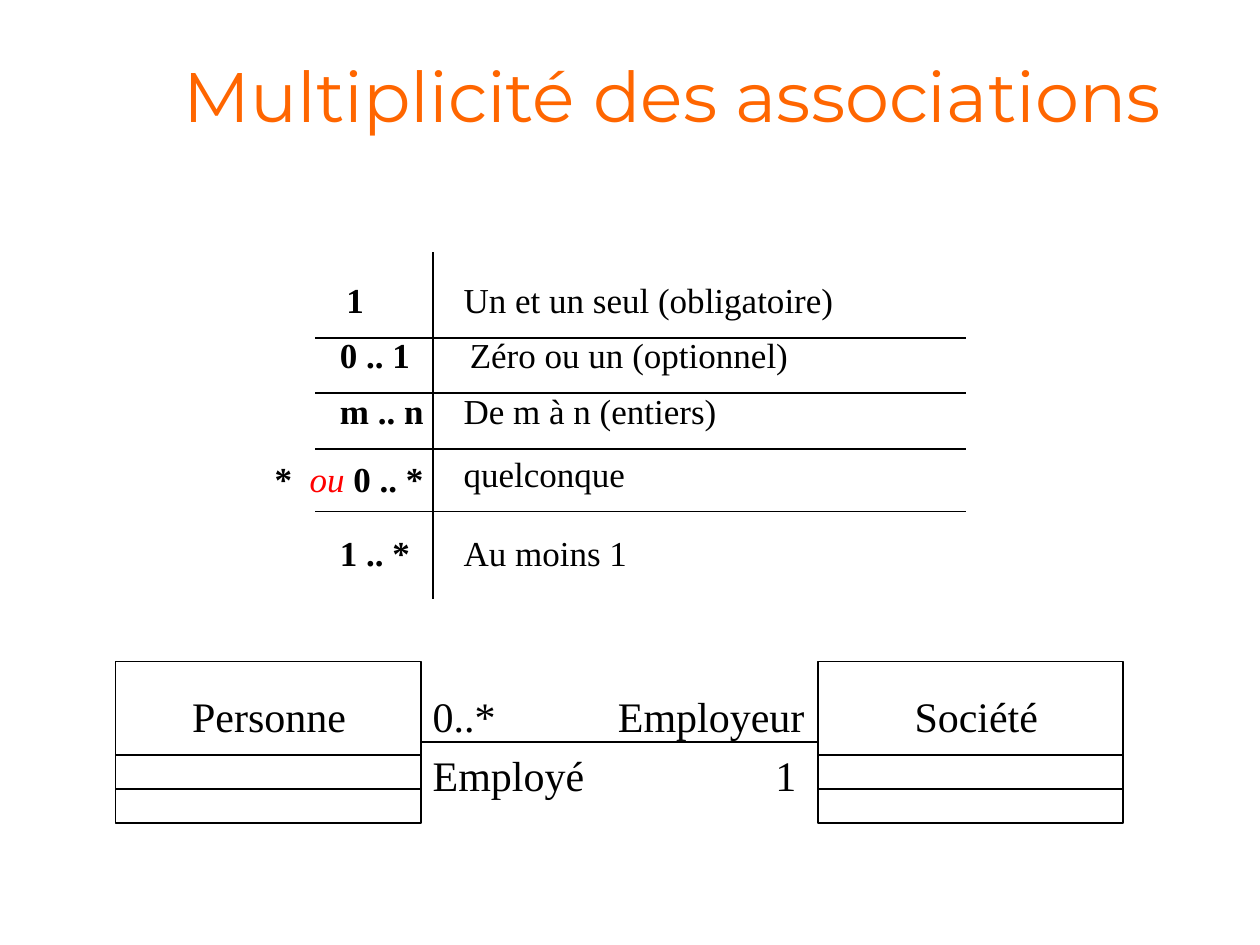
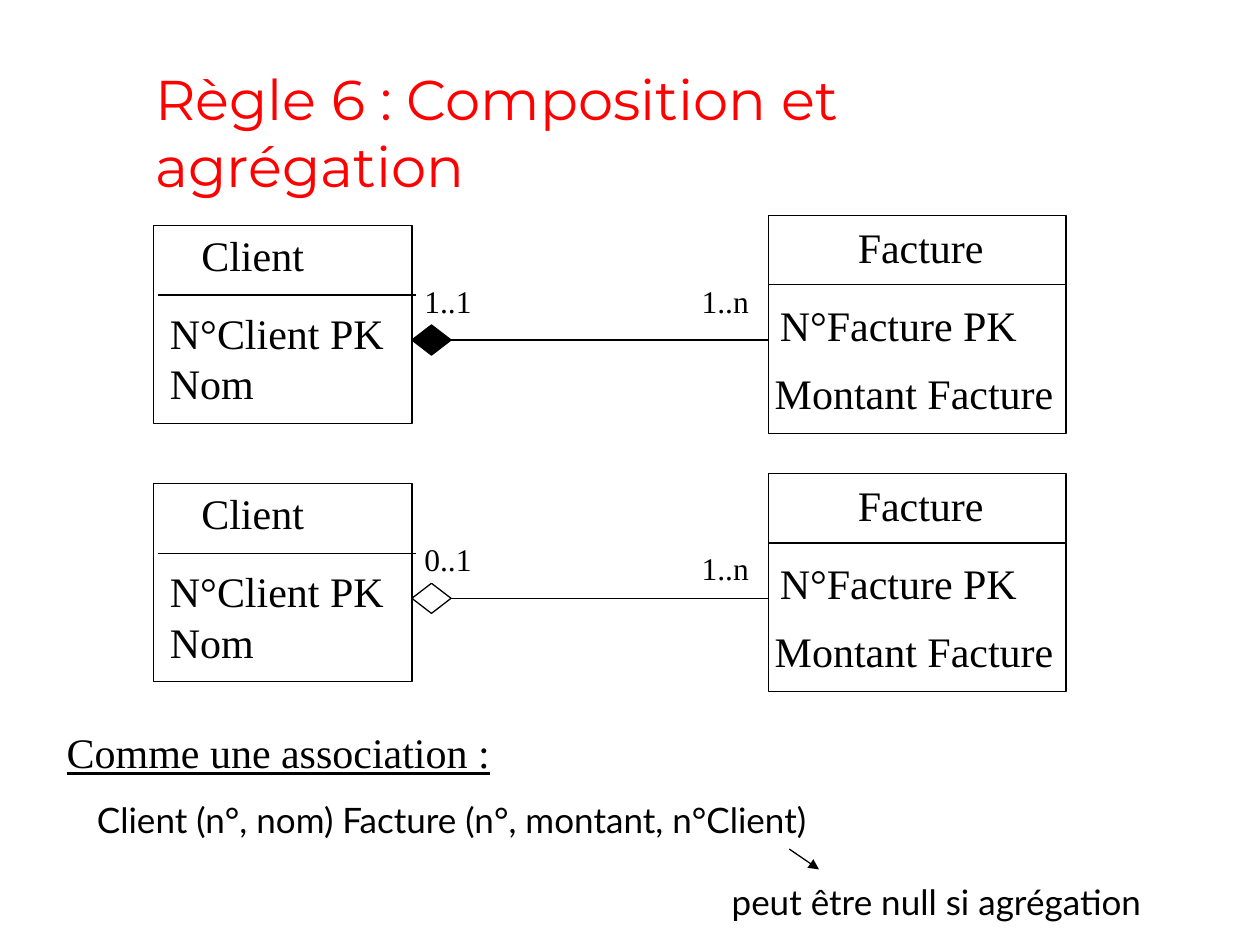
import dataclasses

import pptx
import pptx.dml.color
import pptx.enum.shapes
import pptx.enum.text
import pptx.oxml
import pptx.oxml.ns
import pptx.util

Pt = pptx.util.Pt
Shapes = pptx.enum.shapes.MSO_SHAPE
Anchor = pptx.enum.text.MSO_ANCHOR
Align = pptx.enum.text.PP_ALIGN


@dataclasses.dataclass(frozen=True)
class Theme:
    ink: str = "000000"
    paper: str = "FFFFFF"
    orange: str = "FF6600"
    red: str = "FF0000"
    title_font: str = "Montserrat"
    body_font: str = "Times New Roman"
    note_font: str = "Lato"
    title: int = 40
    long_title: int = 32
    name: int = 24
    row: int = 20
    multiplicity: int = 18
    thick: float = 1
    thin: float = 0.75


THEME = Theme()


# Shared helpers
def rgb(value):
    return pptx.dml.color.RGBColor.from_string(value)


def set_values(target, values):
    for key, value in values.items():
        setattr(target, key, value)


def add_span(para, text, size, color=THEME.ink, **values):
    span = para.add_run()
    span.text = text
    set_values(span.font, {"name": THEME.body_font, "size": Pt(size), **values})
    span.font.color.rgb = rgb(color)


def add_text(page, left, top, width, text, size=THEME.name, **values):
    """Add a one-line text box and return its paragraph."""
    box = page.shapes.add_textbox(Pt(left), Pt(top), Pt(width), Pt(size * 1.2 + 7.2))
    box.text_frame.word_wrap = True
    para = box.text_frame.paragraphs[0]
    if text:
        add_span(para, text, size, **values)
    return para


def add_line(page, start, end, weight=THEME.thick):
    line = page.shapes.add_connector(
        pptx.enum.shapes.MSO_CONNECTOR.STRAIGHT, *map(Pt, start + end))
    set_values(line.line, {"width": Pt(weight)})
    line.line.color.rgb = rgb(THEME.ink)
    line._element.spPr.append(pptx.oxml.parse_xml(
        "<a:effectLst %s/>" % pptx.oxml.ns.nsdecls("a")))
    return line


def add_outline(page, kind, box, weight, fill=None):
    shape = page.shapes.add_shape(kind, *map(Pt, box))
    shape.shadow.inherit = False
    if fill:
        shape.fill.solid()
        shape.fill.fore_color.rgb = rgb(fill)
    else:
        shape.fill.background()
    shape.line.width = Pt(weight)
    shape.line.color.rgb = rgb(THEME.ink)
    return shape


def add_page(deck, title, box, size, color, align, frame_values):
    page = deck.slides.add_slide(deck.slide_layouts[5])
    holder = page.shapes.title
    places = zip(("left", "top", "width", "height"), map(Pt, box))
    set_values(holder, dict(places))
    set_values(holder.text_frame, {
        "word_wrap": True, "auto_size": pptx.enum.text.MSO_AUTO_SIZE.NONE,
        **frame_values})
    para = holder.text_frame.paragraphs[0]
    para.alignment = align
    add_span(para, title, size, color, name=THEME.title_font)
    return page


def add_class(page, box, labels, dividers, weight, fill=None, shift=0):
    """Draw a class; labels are (dx, dy, width, text) within its box."""
    left, top, width, height = box
    frame = add_outline(page, Shapes.RECTANGLE, box, weight, fill)
    for dy in dividers:
        add_line(page, (left + shift, top + dy),
                 (left + shift + width, top + dy), weight)
    for dx, dy, label_width, text in labels:
        add_text(page, left + dx, top + dy, label_width, text)
    return frame


# Multiplicity page
def add_multiplicity_grid(page, left, top, width, height):
    for dy in (49, 80.7, 112.6, 148.3):
        add_line(page, (left, top + dy), (left + width, top + dy))
    add_line(page, (left + 67.5, top), (left + 67.5, top + height))

    rows = (
        (11.5, 10.8, "1", 77.8, "Un et un seul (obligatoire)"),
        (43.2, 7.2, "0 .. 1", 81.4, "Zéro ou un (optionnel)"),
        (74.9, 7.2, "m .. n", 77.8, "De m à n (entiers)"),
        (110.9, None, None, 77.8, "quelconque"),
        (156.2, 7.2, "1 .. *", 77.8, "Au moins 1"),
    )
    for dy, symbol_dx, symbol, meaning_dx, meaning in rows:
        if symbol:
            add_text(page, left + symbol_dx, top + dy, 66, symbol, THEME.row, bold=True)
        add_text(page, left + meaning_dx, top + dy, 230, meaning, THEME.row)

    # Row with two notations, aligned by a tab stop
    para = add_text(page, left - 30.2, top + 113.8, 145.4, "")
    para._p.get_or_add_pPr().append(pptx.oxml.parse_xml(
        '<a:tabLst %s><a:tab pos="%d" algn="l"/></a:tabLst>'
        % (pptx.oxml.ns.nsdecls("a"), Pt(20))))
    add_span(para, "*\t", THEME.row, bold=True)
    add_span(para, "ou", THEME.row, THEME.red, italic=True)
    add_span(para, " 0 .. *", THEME.row, bold=True)


def add_employment(page, left, top):
    size = (174.5, 92.2)
    employer_dx = 401.3
    person, company = (
        add_class(page, (left + dx, top, *size), [label], (53.3, 72.7),
                  THEME.thick, THEME.paper)
        for dx, label in ((0, (36.7, 13, 104, "Personne")),
                          (employer_dx, (48.2, 13, 87, "Société"))))
    link = add_line(page, (left + size[0], top + 46), (left + employer_dx, top + 46))
    link.begin_connect(person, 3)
    link.end_connect(company, 1)
    for dx, dy, width, text in ((174.2, 13, 52, "0..*"), (280, 13, 123, "Employeur"),
                                (174.2, 46.8, 103, "Employé"), (370, 46.8, 28, "1")):
        add_text(page, left + dx, top + dy, width, text)


def add_multiplicity_page(deck):
    page = add_page(deck, "Multiplicité des associations", (48, 24, 672, 54),
                    THEME.title, THEME.orange, Align.CENTER,
                    {"vertical_anchor": Anchor.BOTTOM, "margin_bottom": 0})
    add_multiplicity_grid(page, 180, 144, 372, 198.5)
    add_employment(page, 66, 378)


# Composition and aggregation page
def add_relation(page, left, top, client_end, invoice_end_dy, diamond_fill=None):
    add_class(page, (left, top + 5.8, 147.6, 113), (
        (20.2, -1.4, 75, "Client"),
        (2.2, 43.2, 142, "N°Client PK"),
        (2.2, 72, 64, "Nom"),
    ), [39.6], THEME.thin, shift=2.2)
    add_class(page, (left + 351.4, top, 170, 124.6), (
        (43.9, 0, 88, "Facture"),
        (-0.7, 44.6, 154, "N°Facture PK"),
        (-3.6, 83.5, 176, "Montant Facture"),
    ), [39.6], THEME.thin)
    diamond = add_outline(page, Shapes.DIAMOND, (left + 147.6, top + 62.6, 22.4, 17.2),
                          THEME.thin, diamond_fill)
    link = add_line(page, (left + 170, top + 71.2), (left + 351.4, top + 71.2), THEME.thin)
    link.begin_connect(diamond, 3)
    add_text(page, left + 147.6, top + 34.3, 52, client_end, THEME.multiplicity)
    add_text(page, left + 306, top + invoice_end_dy, 51, "1..n", THEME.multiplicity)


def add_mapping_note(page, left, top):
    add_text(page, left, top, 510, "Comme une association :", underline=True)
    add_text(page, left + 17.3, top + 41, 572,
             "Client (n°, nom) Facture (n°, montant, n°Client)",
             THEME.row, name=THEME.note_font)
    arrow = add_line(page, (left + 420, top + 73.4), (left + 437, top + 85), THEME.thin)
    arrow.line._get_or_add_ln().append(pptx.oxml.parse_xml(
        '<a:tailEnd %s type="triangle"/>' % pptx.oxml.ns.nsdecls("a")))
    add_text(page, left + 380, top + 87.8, 295, "peut être null si agrégation",
             THEME.row, name=THEME.note_font)


def add_composition_page(deck):
    page = add_page(deck, "Règle 6 : Composition et agrégation", (81.4, 33, 554, 85),
                    THEME.long_title, THEME.red, Align.LEFT,
                    {"vertical_anchor": Anchor.TOP})
    add_relation(page, 87.8, 123.1, "1..1", 34.3, THEME.ink)
    add_relation(page, 87.8, 270.7, "0..1", 39.6)
    add_mapping_note(page, 31, 411.8)


def main():
    deck = pptx.Presentation()
    set_values(deck, {"slide_width": Pt(720), "slide_height": Pt(540)})
    add_multiplicity_page(deck)
    add_composition_page(deck)
    deck.save("out.pptx")


if __name__ == "__main__":
    main()
